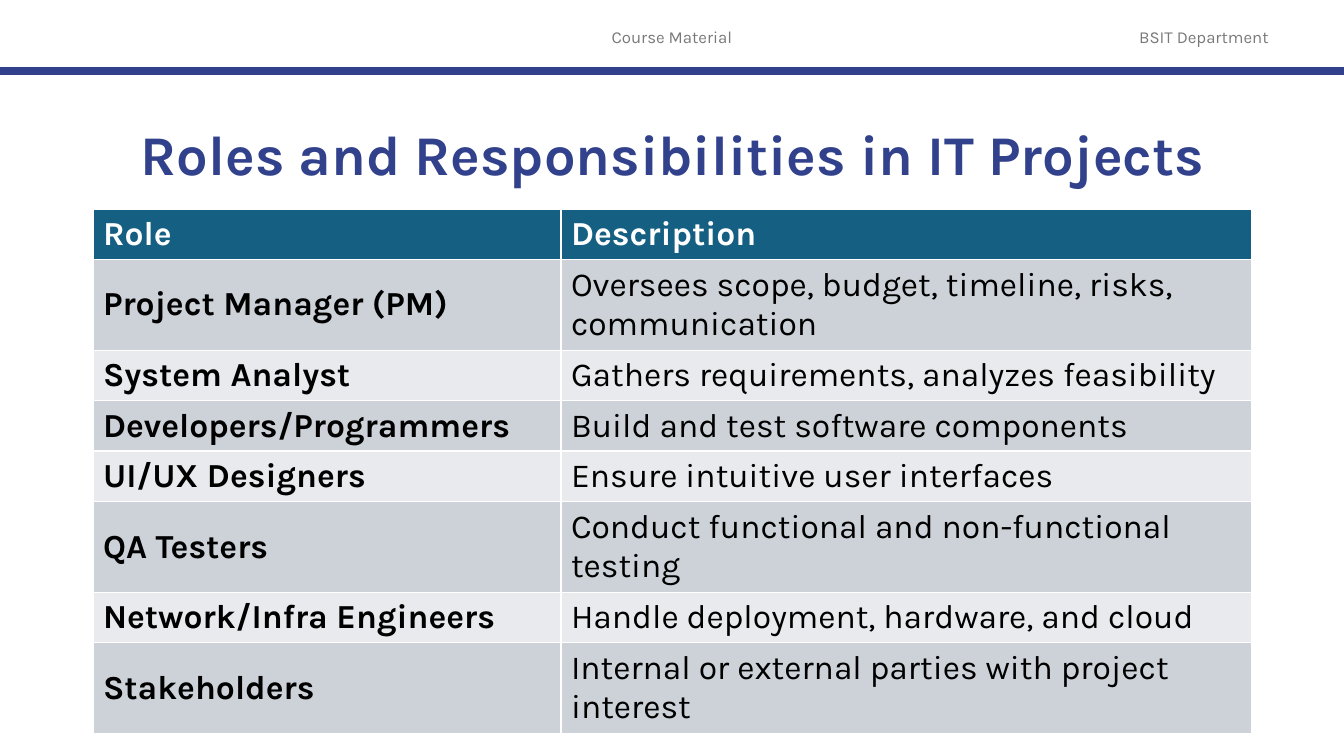
import pptx
import pptx.dml.color
import pptx.enum.shapes
import pptx.enum.text
import pptx.oxml.ns
import pptx.util
import lxml.etree

PX = 914400 / 100.8  # EMU per px
FONT = "Karla"
COLORS = {
    "indigo": "32418C",
    "grey": "797979",
    "header": "156082",
    "dark_band": "CCD2D8",
    "light_band": "E8EAED",
    "white": "FFFFFF",
    "black": "000000",
}
ROLES = [
    ("Role", "Description"),
    ("Project Manager (PM)", "Oversees scope, budget, timeline, risks, communication"),
    ("System Analyst", "Gathers requirements, analyzes feasibility"),
    ("Developers/Programmers", "Build and test software components"),
    ("UI/UX Designers", "Ensure intuitive user interfaces"),
    ("QA Testers", "Conduct functional and non-functional testing"),
    ("Network/Infra Engineers", "Handle deployment, hardware, and cloud"),
    ("Stakeholders", "Internal or external parties with project interest"),
]
TWO_LINE_ROWS = (1, 5, 7)


def px(*lengths):
    return [pptx.util.Emu(round(length * PX)) for length in lengths]


def write(text_frame, text, size, color, bold=False, alignment=None):
    text_frame.text = text
    paragraph = text_frame.paragraphs[0]
    paragraph.alignment = alignment
    font = paragraph.runs[0].font
    font.name = FONT
    font.size = pptx.util.Pt(size)
    font.bold = bold
    font.color.rgb = pptx.dml.color.RGBColor.from_string(COLORS[color])


MIDDLE = pptx.enum.text.MSO_ANCHOR.MIDDLE
CENTER = pptx.enum.text.PP_ALIGN.CENTER

presentation = pptx.Presentation()
presentation.slide_width, presentation.slide_height = px(1344, 756)
slide = presentation.slides.add_slide(presentation.slide_layouts[5])

# Page header
for label, left, width in [("Course Material", 445, 454), ("BSIT Department", 1101, 206)]:
    text_box = slide.shapes.add_textbox(*px(left, 17, width, 40))
    text_box.text_frame.word_wrap = True
    text_box.text_frame.vertical_anchor = MIDDLE
    write(text_box.text_frame, label, 12, "grey", alignment=CENTER)

# Header rule
rule = slide.shapes.add_connector(
    pptx.enum.shapes.MSO_CONNECTOR.STRAIGHT, *px(0, 71, 1344, 71))
rule.line.width = pptx.util.Pt(6)
rule.line.color.rgb = pptx.dml.color.RGBColor.from_string(COLORS["indigo"])
lxml.etree.SubElement(rule.element.spPr, pptx.oxml.ns.qn("a:effectLst"))

# Title
title = slide.shapes.title
title.left, title.top, title.width, title.height = px(93, 84, 1159, 146)
title.text_frame.word_wrap = True
title.text_frame.auto_size = pptx.enum.text.MSO_AUTO_SIZE.NONE
title.text_frame.vertical_anchor = MIDDLE
write(title.text_frame, "Roles and Responsibilities in IT Projects", 40, "indigo", True, CENTER)
title.text_frame.paragraphs[0].line_spacing = 0.9

# Roles table; the default style supplies the white borders
table = slide.shapes.add_table(len(ROLES), 2, *px(93, 209, 1159, 509)).table
for column, width in zip(table.columns, px(468, 691)):
    column.width = width
for row_index, row_texts in enumerate(ROLES):
    table.rows[row_index].height = px(88 if row_index in TWO_LINE_ROWS else 49)[0]
    is_header = row_index == 0
    band = "header" if is_header else "dark_band" if row_index % 2 else "light_band"
    for column_index, text in enumerate(row_texts):
        cell = table.cell(row_index, column_index)
        cell.vertical_anchor = MIDDLE
        cell.fill.solid()
        cell.fill.fore_color.rgb = pptx.dml.color.RGBColor.from_string(COLORS[band])
        write(cell.text_frame, text, 24, "white" if is_header else "black",
              bold=is_header or column_index == 0)

presentation.save("out.pptx")
